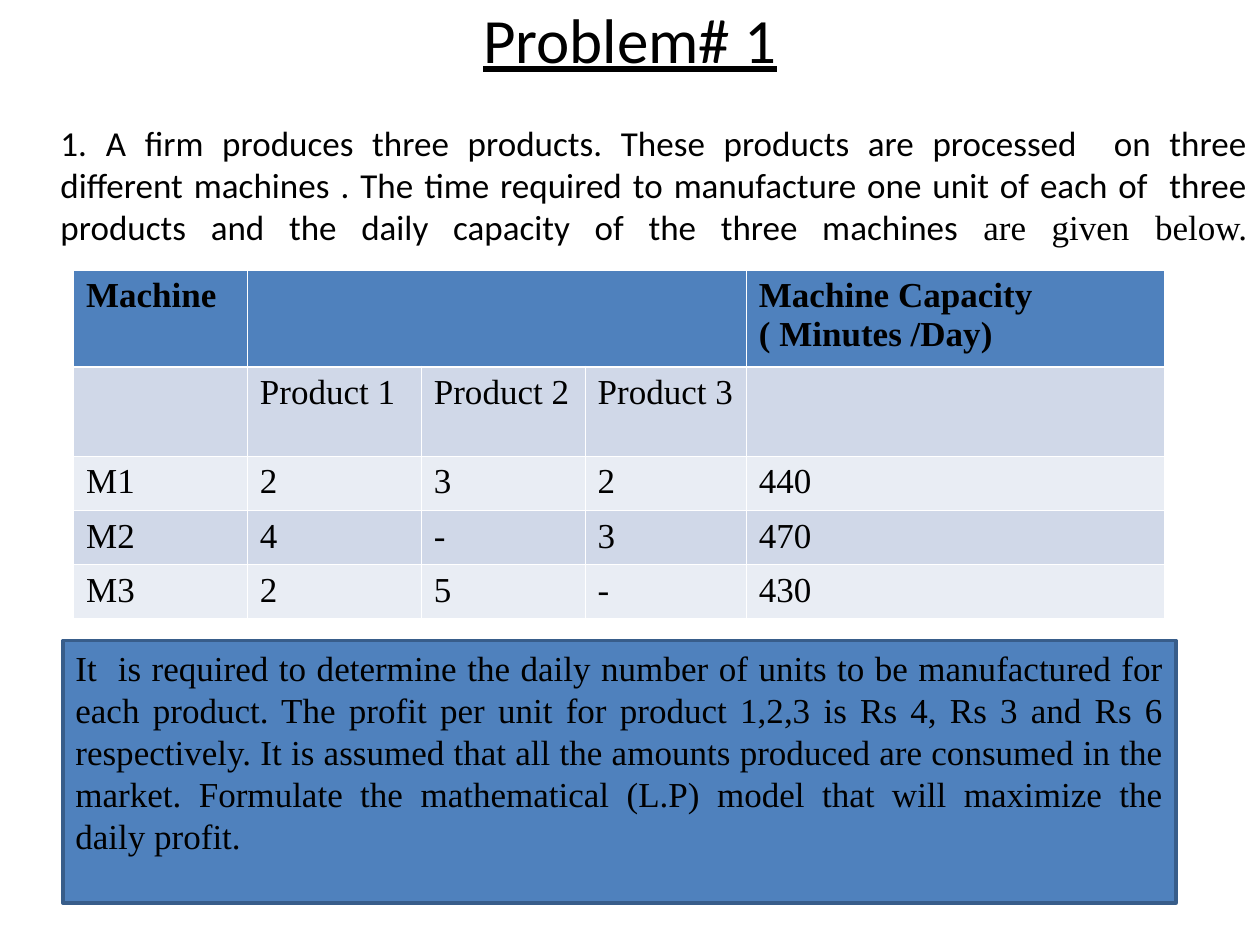
from pptx import Presentation, util as u
from pptx.dml.color import RGBColor
from pptx.enum import shapes, text
from pptx.oxml import parse_xml
from pptx.oxml.ns import nsdecls

COLORS = {
    "ink": "000000", "white": "FFFFFF", "blue": "4F81BD", "edge": "385D8A",
    "band": "D0D8E8", "pale": "E9EDF4",
}
SANS, SERIF = "Calibri", "Times New Roman"
CELL = u.Inches(1) // 12  # grid unit: 120 columns by 90 rows


def color(name):
    return RGBColor.from_string(COLORS[name])


class ProblemPage:
    """Holds the style and the current slide; places are in grid units."""

    def __init__(self, deck):
        self.page = deck.slides.add_slide(deck.slide_layouts[1])

    def frame(self, *place):
        return [round(value * CELL) for value in place]

    def style(self, font, size, face, bold=False):
        font.size, font.name, font.bold = u.Pt(size), face, bold
        font.color.rgb = color("ink")

    def placeholder(self, index, place):
        box = self.page.placeholders[index]
        box.left, box.top, box.width, box.height = self.frame(*place)
        box.text_frame.auto_size = text.MSO_AUTO_SIZE.NONE
        box.text_frame.vertical_anchor = text.MSO_ANCHOR.TOP
        return box.text_frame

    def title(self, words, place):
        body = self.placeholder(0, place)
        body.margin_top = body.margin_bottom = 0
        para = body.paragraphs[0]
        para.text, para.alignment = words, text.PP_ALIGN.CENTER
        self.style(para.font, 36, SANS)
        para.font.underline = True

    def statement(self, spans, place):
        para = self.placeholder(1, place).paragraphs[0]
        para.alignment, para.space_before = text.PP_ALIGN.JUSTIFY, u.Pt(0)
        props = para._p.get_or_add_pPr()
        props.set("marL", str(u.Inches(0.38)))
        props.set("indent", "0")
        props.append(parse_xml(f"<a:buNone {nsdecls('a')}/>"))
        for words, face in spans:
            span = para.add_run()
            span.text = words
            self.style(span.font, 20, face)
        para.add_line_break()  # stretches the last line to full width

    def border(self, cell, **widths):
        props = cell._tc.get_or_add_tcPr()
        for index, side in enumerate("LRTB"):
            width = u.Pt(widths.get(side, 0.45))
            props.insert(index, parse_xml(
                f'<a:ln{side} {nsdecls("a")} w="{width}"><a:solidFill>'
                f'<a:srgbClr val="{COLORS["white"]}"/></a:solidFill></a:ln{side}>'))

    def table(self, rows, widths, heights, place):
        table = self.page.shapes.add_table(
            len(rows), len(widths), *self.frame(*place)).table
        for column, width in zip(table.columns, widths):
            column.width = u.Inches(width)
        for row, height in zip(table.rows, heights):
            row.height = u.Inches(height)
        rules = {0: {"B": 1.47}, 1: {"T": 1.47}}
        for r, values in enumerate(rows):
            fill = "blue" if r == 0 else ("pale", "band")[r % 2]
            for c, value in enumerate(values):
                cell = table.cell(r, c)
                cell.fill.solid()
                cell.fill.fore_color.rgb = color(fill)
                self.border(cell, **rules.get(r, {}))
                para = cell.text_frame.paragraphs[0]
                para.text = value
                self.style(para.font, 20, SERIF, bold=r == 0)
        table.cell(0, 1).merge(table.cell(0, 3))

    def panel(self, words, place):
        box = self.page.shapes.add_shape(
            shapes.MSO_SHAPE.RECTANGLE, *self.frame(*place))
        box.shadow.inherit = False
        box.fill.solid()
        box.fill.fore_color.rgb = color("blue")
        box.line.color.rgb = color("edge")
        box.line.width = u.Pt(2)
        box.text_frame.word_wrap = True
        box.text_frame.vertical_anchor = text.MSO_ANCHOR.TOP
        para = box.text_frame.paragraphs[0]
        para.text, para.alignment = words, text.PP_ALIGN.JUSTIFY
        self.style(para.font, 20, SERIF)


def main():
    deck = Presentation()
    deck.slide_width, deck.slide_height = u.Inches(10), u.Inches(7.5)
    page = ProblemPage(deck)

    # Heading and problem statement
    page.title("Problem# 1", (6, 0, 108, 10))
    page.statement([
        ("1. A firm produces three products. These products are processed  on "
         "three different machines . The time required to manufacture one unit "
         "of each of  three products and the daily capacity of the three "
         "machines ", SANS),
        ("are given below.", SERIF),
    ], (0, 11, 120, 75))

    # Machine times and capacities
    page.table([
        ("Machine", "", "", "", "Machine Capacity ( Minutes /Day)"),
        ("", "Product 1", "Product 2", "Product 3", ""),
        ("M1", "2", "3", "2", "440"),
        ("M2", "4", "-", "3", "470"),
        ("M3", "2", "5", "-", "430"),
    ], [1.38, 1.38, 1.3, 1.28, 3.32], [0.77, 0.71] + [0.43] * 3,
        (7, 25.7, 104, 33.3))

    # Task
    page.panel(
        "It  is required to determine the daily number of units to be "
        "manufactured for each product. The profit per unit for product 1,2,3 "
        "is Rs 4, Rs 3 and Rs 6 respectively. It is assumed that all the "
        "amounts produced are consumed in the market. Formulate the "
        "mathematical (L.P) model that will maximize the daily profit.",
        (6, 61, 106, 25))

    deck.save("out.pptx")


if __name__ == "__main__":
    main()
